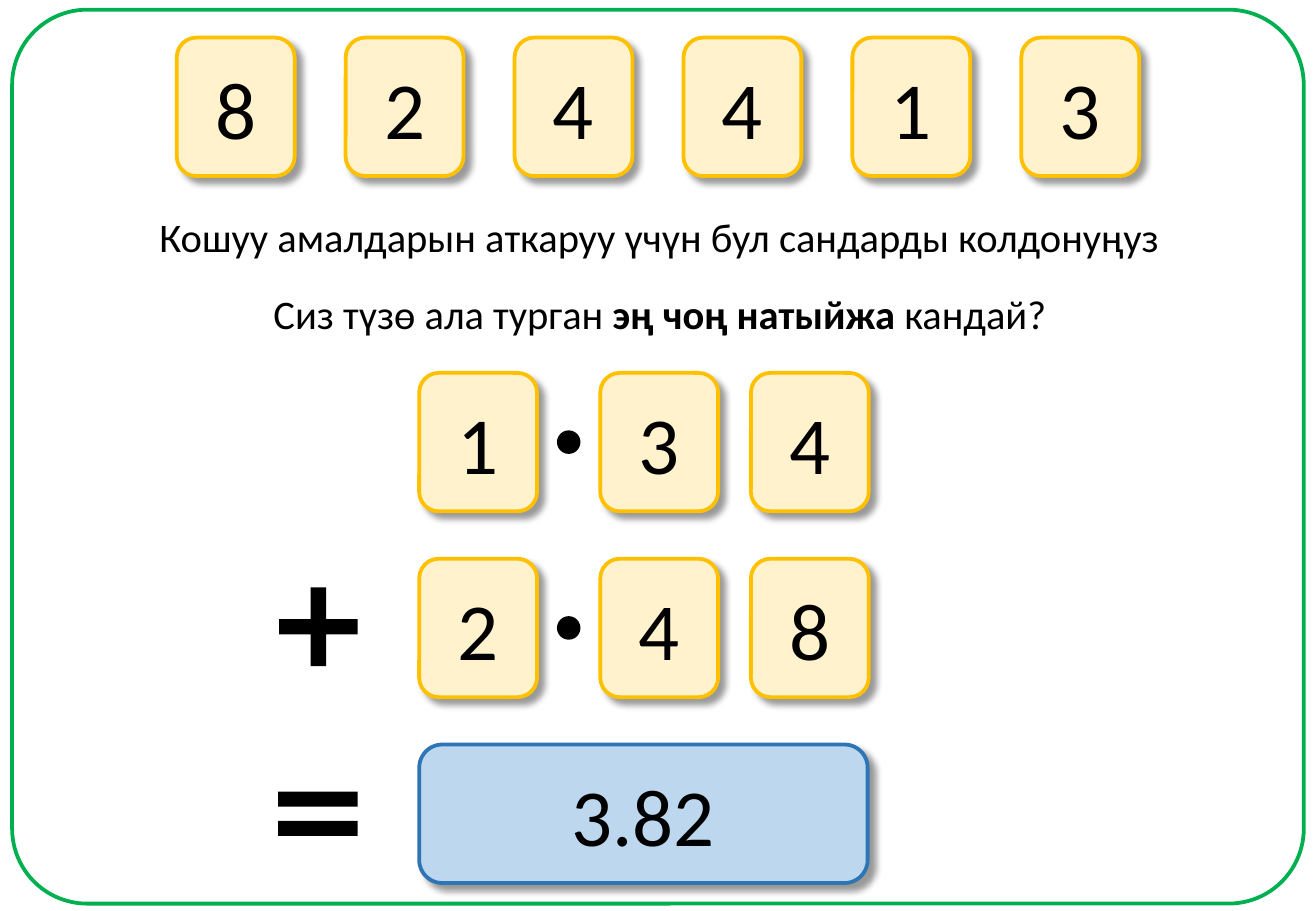
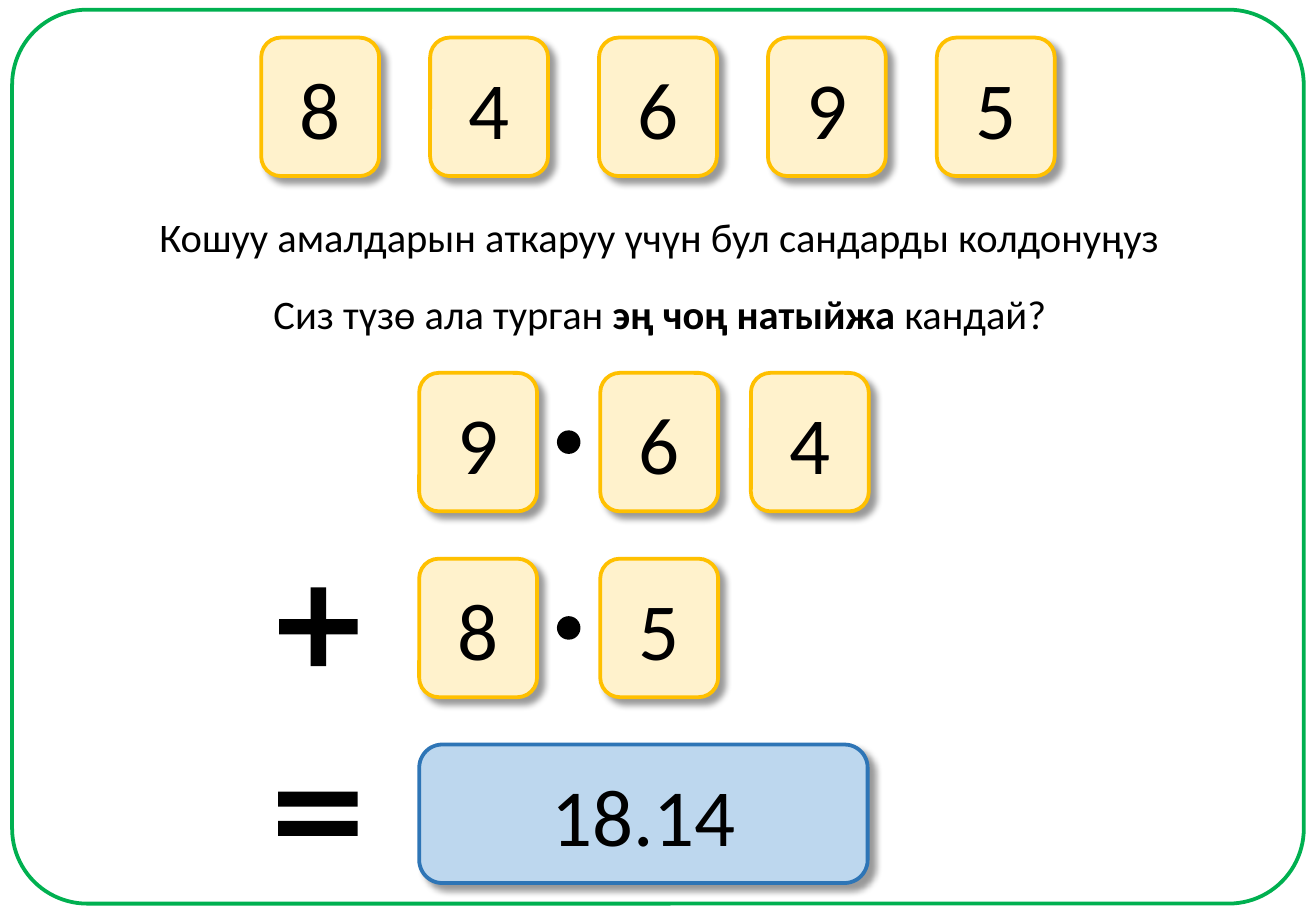
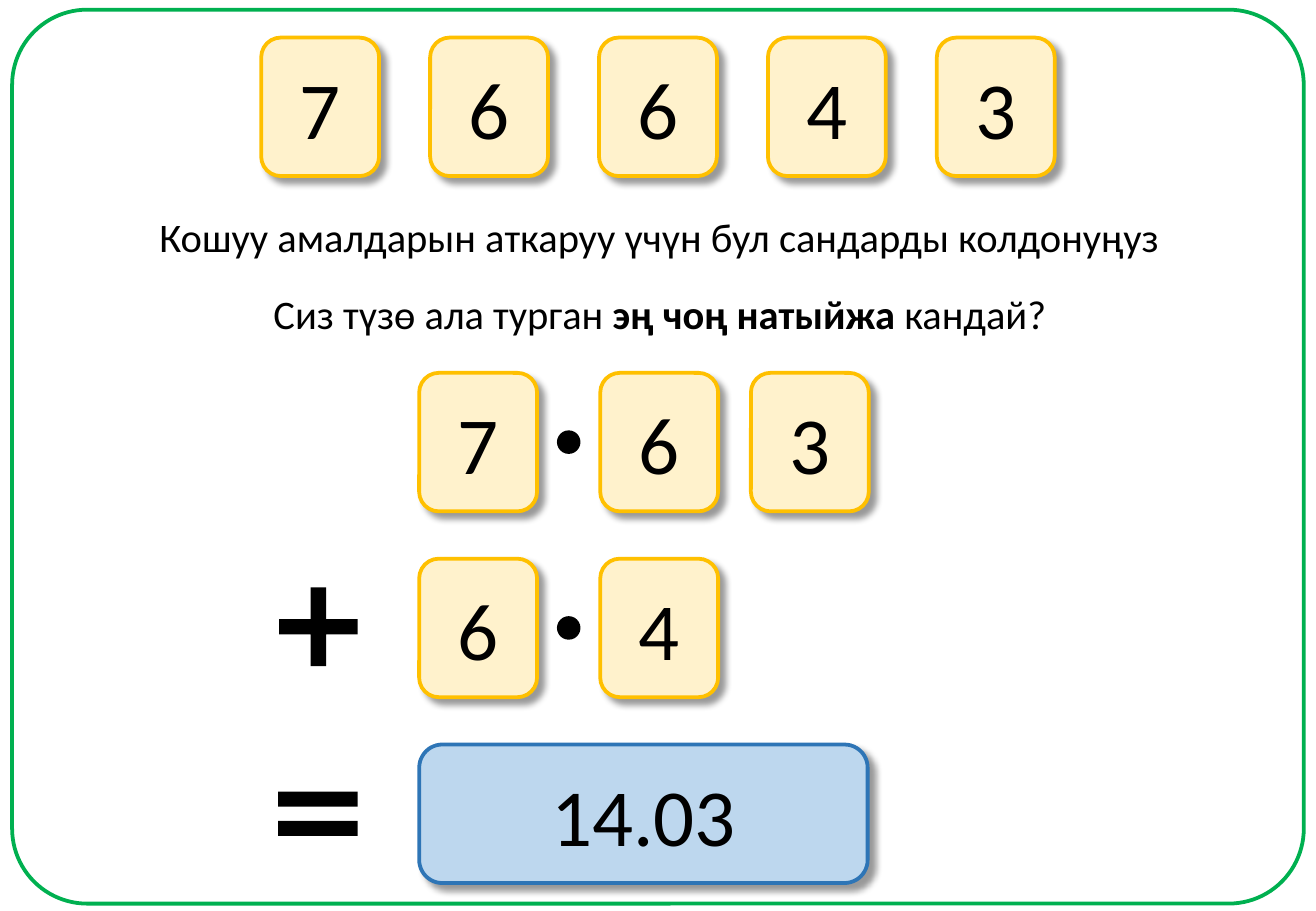
from lxml.etree import SubElement
from pptx import Presentation
from pptx.dml.color import RGBColor
from pptx.enum.shapes import MSO_SHAPE as Preset
from pptx.enum.text import MSO_ANCHOR as Anchor, MSO_AUTO_SIZE as AutoSize, PP_ALIGN as Align
from pptx.oxml.ns import qn
from pptx.util import Inches, Pt

BLACK = RGBColor(0x00, 0x00, 0x00)
GREEN = RGBColor(0x00, 0xB0, 0x50)
CREAM = RGBColor(0xFF, 0xF2, 0xCC)
GOLD = RGBColor(0xFF, 0xC0, 0x00)
PALE_BLUE = RGBColor(0xBD, 0xD7, 0xEE)
BLUE = RGBColor(0x2E, 0x75, 0xB6)

SLIDE_WIDTH, SLIDE_HEIGHT = 10.83, 7.5
CARD_WIDTH, CARD_HEIGHT = 0.97, 1.14
HAND_TOP, HAND_STEP = 0.31, 1.39
COLUMNS = (3.45, 4.94, 6.18)
FIRST_ROW, ROW_STEP = 3.07, 1.53
ANSWER_TOP = FIRST_ROW + 2 * ROW_STEP
ANSWER_WIDTH = 3.69
POINT_SIZE = 0.18
POINT_LEFT = (COLUMNS[0] + CARD_WIDTH + COLUMNS[1] - POINT_SIZE) / 2

CARD_TEXT = {
    "vertical_anchor": Anchor.MIDDLE, "word_wrap": True,
    "margin_left": Inches(0.11), "margin_right": Inches(0.11),
    "margin_top": Inches(0.05), "margin_bottom": Inches(0.05),
}
PROMPT_TEXT = {"word_wrap": False, "auto_size": AutoSize.SHAPE_TO_FIT_TEXT}

PROMPTS = [
    ((1.17, 1.7, 8.51, 0.5), [("Кошуу амалдарын аткаруу үчүн бул сандарды колдонуңуз", False)]),
    ((2.12, 2.33, 6.62, 0.5), [("Сиз түзө ала турган ", False),
                               ("эң чоң натыйжа ", True), ("кандай?", False)]),
]
SIGNS = [
    (Preset.MATH_PLUS, (2.18, 4.72, 0.88, 0.88), [0.144]),
    (Preset.MATH_EQUAL, (2.17, 6.2, 0.89, 1), [0.123, 0.118]),
]
PUZZLES = [
    ("824413", ("1.34", "2.48"), "3.82"),
    ("84695", ("9.64", "8.5"), "18.14"),
    ("76643", ("7.63", "6.4"), "14.03"),
]


def add_part(slide, preset, box, fill=None, line=None, width=2.25, adjustments=(), raised=False):
    part = slide.shapes.add_shape(preset, *map(Inches, box))
    for index, value in enumerate(adjustments):
        part.adjustments[index] = value
    if fill is None:
        part.fill.background()
    else:
        part.fill.solid()
        part.fill.fore_color.rgb = fill
    if line is None:
        part.line.fill.background()
    else:
        part.line.color.rgb = line
        part.line.width = Pt(width)
    part.shadow.inherit = False
    if raised:
        effects = part.element.spPr.find(qn("a:effectLst"))
        shadow = SubElement(effects, qn("a:outerShdw"), blurRad=str(Pt(4)), dist=str(Pt(5)),
                            dir="2700000", algn="tl", rotWithShape="0")
        color = SubElement(shadow, qn("a:srgbClr"), val=str(BLACK))
        SubElement(color, qn("a:alpha"), val="40000")
    return part


def write(part, runs, size, frame_format):
    for name, value in frame_format.items():
        setattr(part.text_frame, name, value)
    paragraph = part.text_frame.paragraphs[0]
    paragraph.alignment = Align.CENTER
    for text, bold in runs:
        run = paragraph.add_run()
        run.text = text
        for name, value in {"name": "Calibri", "size": Pt(size), "bold": bold}.items():
            setattr(run.font, name, value)
        run.font.color.rgb = BLACK


deck = Presentation()
deck.slide_width, deck.slide_height = Inches(SLIDE_WIDTH), Inches(SLIDE_HEIGHT)
blank_layout = deck.slide_layouts[6]

for hand, addends, answer in PUZZLES:
    slide = deck.slides.add_slide(blank_layout)
    add_part(slide, Preset.ROUNDED_RECTANGLE, (0.1, 0.08, 10.63, 7.36),
             line=GREEN, adjustments=[0.084])

    hand_width = (len(hand) - 1) * HAND_STEP + CARD_WIDTH
    hand_left = (SLIDE_WIDTH - hand_width) / 2
    cards = [(digit, hand_left + index * HAND_STEP, HAND_TOP) for index, digit in enumerate(hand)]

    for box, runs in PROMPTS:
        prompt = slide.shapes.add_textbox(*map(Inches, box))
        write(prompt, runs, 24, PROMPT_TEXT)

    for row, addend in enumerate(addends):
        top = FIRST_ROW + row * ROW_STEP
        cards += [(digit, left, top) for digit, left in zip(addend.replace(".", ""), COLUMNS)]
        point_top = top + (CARD_HEIGHT - POINT_SIZE) / 2
        add_part(slide, Preset.OVAL, (POINT_LEFT, point_top, POINT_SIZE, POINT_SIZE),
                 fill=BLACK, line=BLACK, width=1)

    for digit, left, top in cards:
        card = add_part(slide, Preset.ROUNDED_RECTANGLE, (left, top, CARD_WIDTH, CARD_HEIGHT),
                        fill=CREAM, line=GOLD, raised=True)
        write(card, [(digit, False)], 48, CARD_TEXT)

    for preset, box, adjustments in SIGNS:
        add_part(slide, preset, box, fill=BLACK, adjustments=adjustments)

    answer_card = add_part(slide, Preset.ROUNDED_RECTANGLE,
                           (COLUMNS[0], ANSWER_TOP, ANSWER_WIDTH, CARD_HEIGHT),
                           fill=PALE_BLUE, line=BLUE, raised=True)
    write(answer_card, [(answer, False)], 48, CARD_TEXT)

deck.save("out.pptx")
